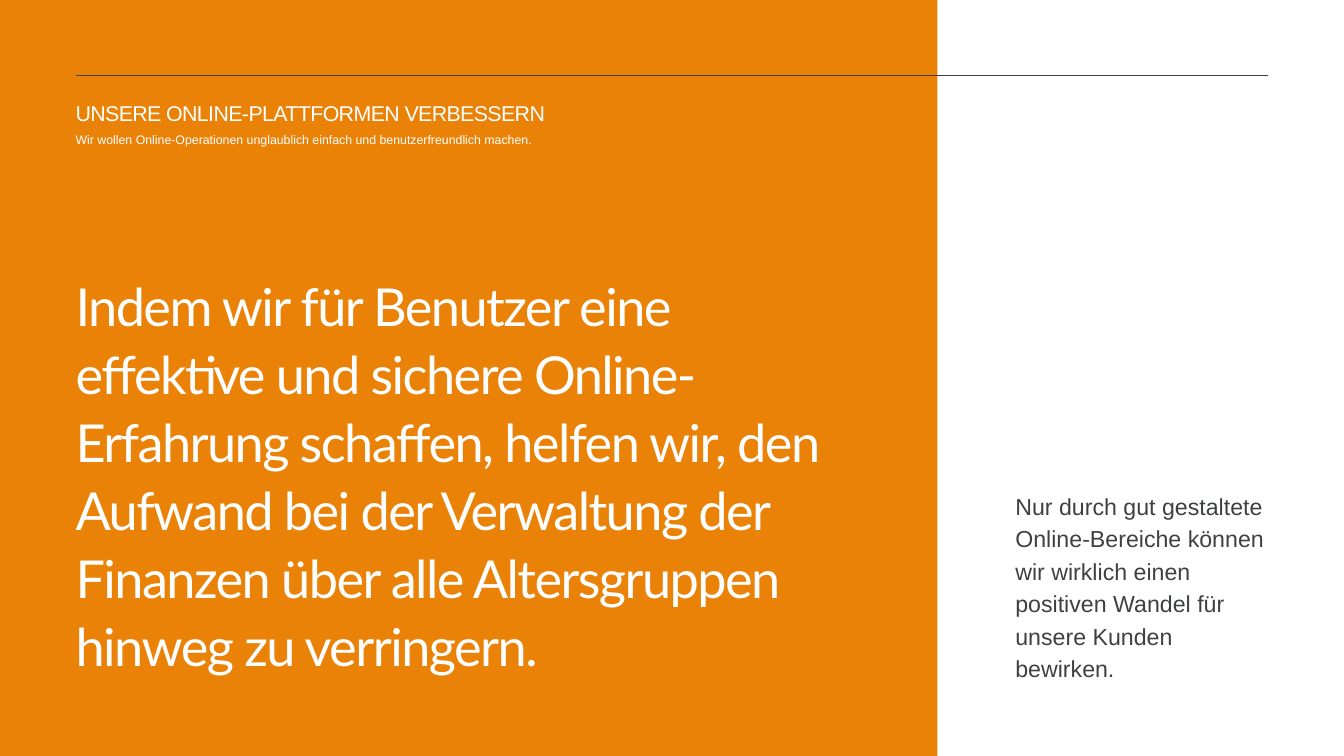
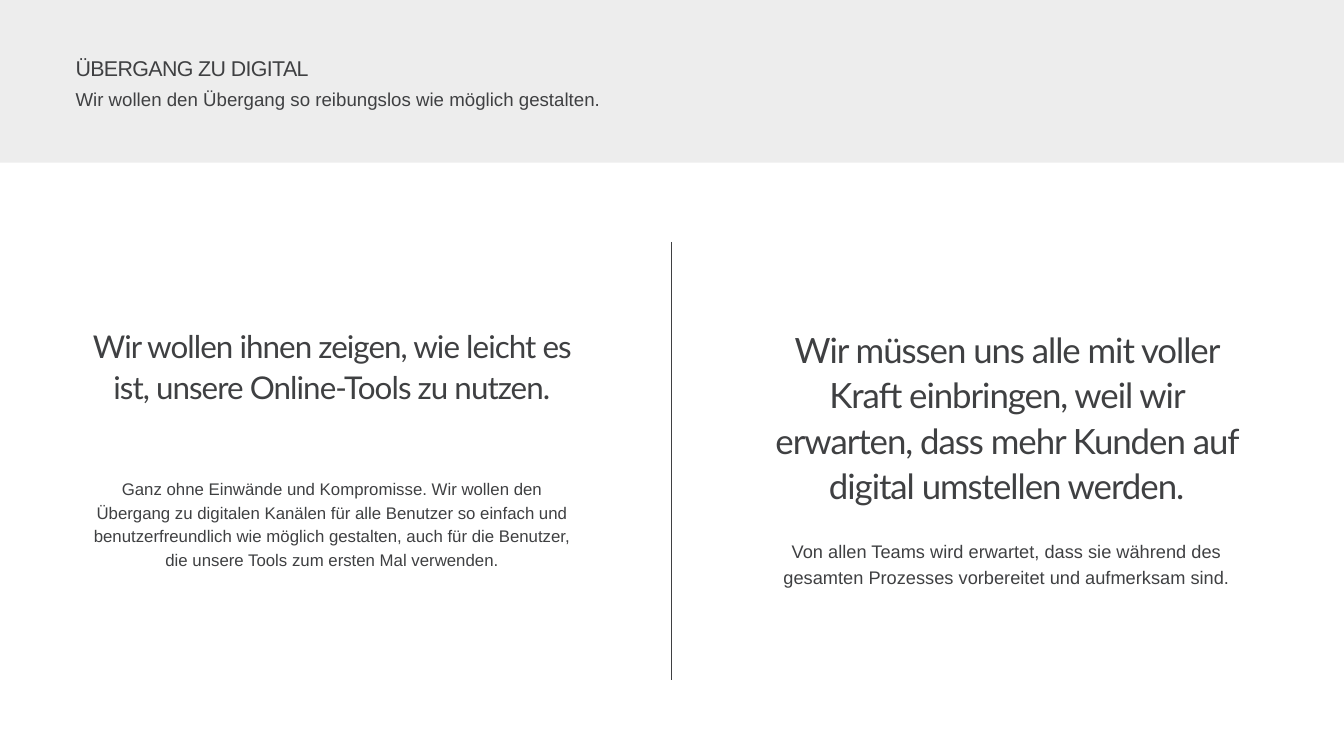
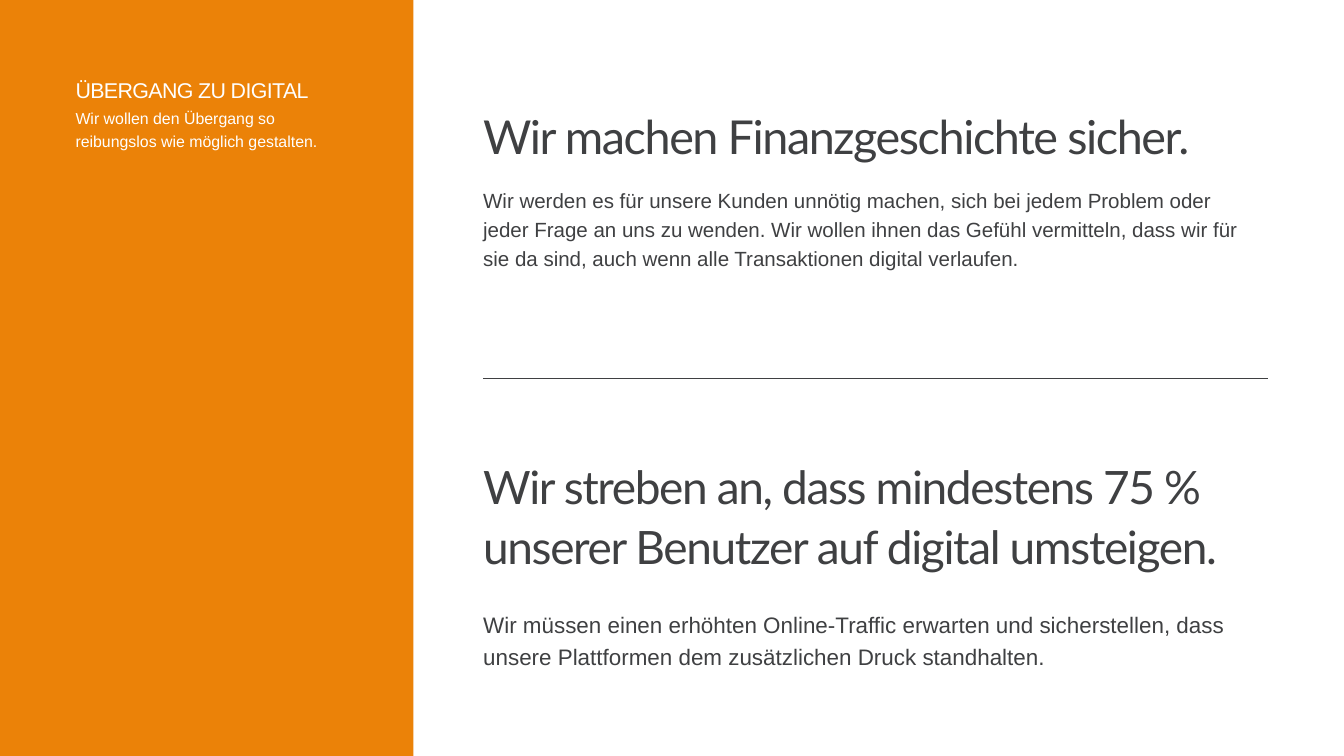
from lxml import etree
from pptx import Presentation
from pptx.dml.color import RGBColor
from pptx.enum import shapes, text
from pptx.oxml.ns import qn
from pptx.util import Inches, Pt

WIDTH, HEIGHT = 20, 11.25
ORANGE, GREY, DARK, WHITE = "EB8208", "EDEDED", "3F4042", "FFFFFF"
MARGIN = 5.62
LEFT, CENTER, JUSTIFY = text.PP_ALIGN.LEFT, text.PP_ALIGN.CENTER, text.PP_ALIGN.JUSTIFY
LATO_STYLE = ("Lato", 1.3, -3)
HEADING_STYLE = ("Arial", 1.3, -3)
BODY_STYLE = ("Arial", 1.4, 0)


def color(value):
    """Turn a hex string into a colour."""
    return RGBColor.from_string(value)


def across(share):
    """Turn a percentage of the slide width into a length."""
    return Inches(WIDTH * share / 100)


def down(share):
    """Turn a percentage of the slide height into a length."""
    return Inches(HEIGHT * share / 100)


def add_slide(prs):
    """Add a blank slide."""
    return prs.slides.add_slide(prs.slide_layouts[6])


def add_band(slide, width, height, fill):
    """Add a plain colour band that starts in the top left corner."""
    sp = slide.shapes.add_shape(shapes.MSO_SHAPE.RECTANGLE, 0, 0, across(width), down(height))
    sp.shadow.inherit = False
    sp.fill.solid()
    sp.fill.fore_color.rgb = color(fill)
    sp.line.fill.background()


def add_rule(slide, x1, y1, x2, y2):
    """Add a thin dark line."""
    line = slide.shapes.add_connector(
        shapes.MSO_CONNECTOR.STRAIGHT, across(x1), down(y1), across(x2), down(y2))
    line.line.color.rgb = color(DARK)
    line.line.width = Pt(0.7)
    etree.SubElement(line._element.spPr, qn("a:effectLst"))


def add_text(slide, left, top, width, lines, words, size, style, ink=DARK, align=LEFT):
    """Add a wrapped paragraph whose box height follows from its line count."""
    font, leading, tracking = style
    sp = slide.shapes.add_textbox(
        across(left), down(top), across(width), Pt(lines * size * leading))
    tf = sp.text_frame
    tf.word_wrap = True
    tf.auto_size = text.MSO_AUTO_SIZE.SHAPE_TO_FIT_TEXT
    tf.margin_left = tf.margin_right = tf.margin_top = tf.margin_bottom = 0
    tf.text = words
    p = tf.paragraphs[0]
    p.alignment = align
    p.line_spacing = Pt(round(size * leading, 1))
    r = p.runs[0]
    r.font.name = font
    r.font.size = Pt(size)
    r.font.color.rgb = color(ink)
    if tracking:
        r._r.get_or_add_rPr().set("spc", str(round(size * tracking)))


def add_header(slide, top, width, title, subtitle, size, lines=1, ink=WHITE, align=LEFT):
    """Add the slide title in capitals with its subtitle below."""
    add_text(slide, MARGIN, top, width, 1, title, 22.9, HEADING_STYLE, ink, align)
    add_text(slide, MARGIN, top + 4.13, width, lines, subtitle, size, BODY_STYLE, ink, align)


def add_statement(slide, left, width, claim, detail, align=LEFT):
    """Add a large claim and its detail, each as top, lines, size and words."""
    for (top, lines, size, words), style in ((claim, LATO_STYLE), (detail, BODY_STYLE)):
        add_text(slide, left, top, width, lines, words, size, style, align=align)


def build_platforms(prs):
    """Build the slide on better online platforms."""
    slide = add_slide(prs)
    add_band(slide, 69.75, 100, ORANGE)
    add_rule(slide, MARGIN, 10, 100 - MARGIN, 10)
    add_header(slide, 12.98, 38.05, "UNSERE ONLINE-PLATTFORMEN VERBESSERN",
               "Wir wollen Online-Operationen unglaublich einfach und benutzerfreundlich machen.",
               13.2, align=JUSTIFY)
    add_text(slide, 75.55, 64.53, 18.85, 6,
             "Nur durch gut gestaltete Online-Bereiche können wir wirklich einen positiven "
             "Wandel für unsere Kunden bewirken.", 24.8, BODY_STYLE)
    add_text(slide, MARGIN, 35.56, 58.1, 6,
             "Indem wir für Benutzer eine effektive und sichere Online-Erfahrung schaffen, "
             "helfen wir, den Aufwand bei der Verwaltung der Finanzen über alle Altersgruppen "
             "hinweg zu verringern.", 56, LATO_STYLE, WHITE)


def build_transition(prs, title, subtitle):
    """Build the slide with two centred statements side by side."""
    slide = add_slide(prs)
    add_band(slide, 100, 21.51, GREY)
    add_rule(slide, 49.98, 32, 49.98, 90)
    add_header(slide, 7.02, 49.95, title, subtitle, 20, ink=DARK)
    add_statement(
        slide, 6.8, 35.8,
        (42.84, 2, 33.6,
         "Wir wollen ihnen zeigen, wie leicht es ist, unsere Online-Tools zu nutzen."),
        (62.93, 4, 18,
         "Ganz ohne Einwände und Kompromisse. Wir wollen den Übergang zu digitalen Kanälen "
         "für alle Benutzer so einfach und benutzerfreundlich wie möglich gestalten, auch "
         "für die Benutzer, die unsere Tools zum ersten Mal verwenden."), CENTER)
    add_statement(
        slide, 57, 35.8,
        (43.02, 4, 37.3,
         "Wir müssen uns alle mit voller Kraft einbringen, weil wir erwarten, dass mehr "
         "Kunden auf digital umstellen werden."),
        (71.02, 2, 19.5,
         "Von allen Teams wird erwartet, dass sie während des gesamten Prozesses "
         "vorbereitet und aufmerksam sind."), CENTER)


def build_goals(prs, title, subtitle):
    """Build the slide with two goals one above the other."""
    slide = add_slide(prs)
    add_band(slide, 30.75, 100, ORANGE)
    add_rule(slide, 35.95, 50, 100 - MARGIN, 50)
    add_header(slide, 9.87, 19.7, title, subtitle, 17, lines=2)
    add_statement(
        slide, 35.95, 56.85,
        (13.6, 1, 50.1, "Wir machen Finanzgeschichte sicher."),
        (24.36, 3, 22,
         "Wir werden es für unsere Kunden unnötig machen, sich bei jedem Problem oder jeder "
         "Frage an uns zu wenden. Wir wollen ihnen das Gefühl vermitteln, dass wir für sie "
         "da sind, auch wenn alle Transaktionen digital verlaufen."))
    add_statement(
        slide, 35.95, 56.85,
        (60.09, 2, 49.3,
         "Wir streben an, dass mindestens 75 % unserer Benutzer auf digital umsteigen."),
        (80.27, 2, 24,
         "Wir müssen einen erhöhten Online-Traffic erwarten und sicherstellen, dass unsere "
         "Plattformen dem zusätzlichen Druck standhalten."))


def main():
    """Build the deck and save it."""
    prs = Presentation()
    prs.slide_width, prs.slide_height = Inches(WIDTH), Inches(HEIGHT)
    header = ("ÜBERGANG ZU DIGITAL",
              "Wir wollen den Übergang so reibungslos wie möglich gestalten.")
    build_platforms(prs)
    build_transition(prs, *header)
    build_goals(prs, *header)
    prs.save("out.pptx")


if __name__ == "__main__":
    main()
